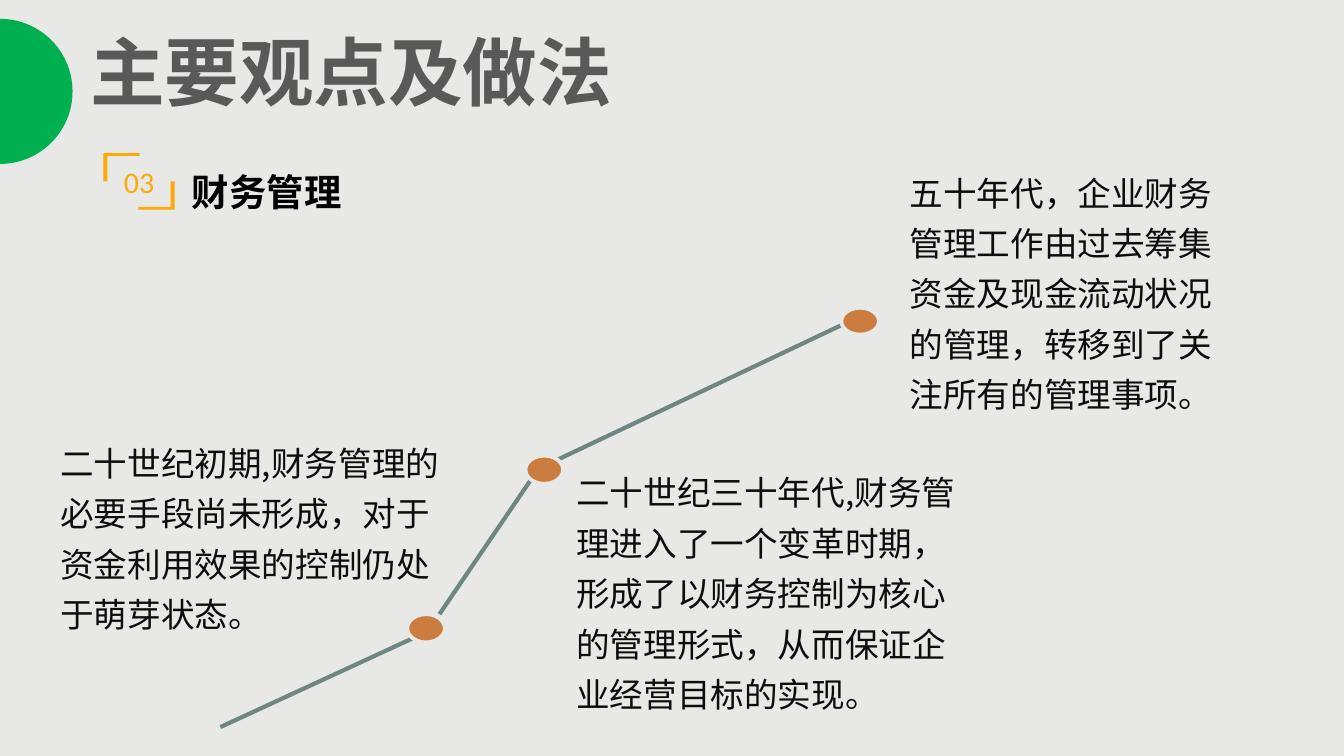
"""Build the financial management slide with a rising three-step timeline."""
from lxml import etree
from pptx import Presentation
from pptx import util as u
from pptx.dml import color
from pptx.enum import shapes, text
from pptx.oxml import ns

CJK = "Noto Sans CJK SC"
COLS = 100


def rgb(value):
    return color.RGBColor.from_string(value)


def grid(*cells):
    return [u.Emu(round(c * prs.slide_width / COLS)) for c in cells]


prs = Presentation()
prs.slide_width = u.Inches(10)
prs.slide_height = prs.slide_width * 9 // 16
s = prs.slides.add_slide(prs.slide_layouts[5])
s.background.fill.solid()
s.background.fill.fore_color.rgb = rgb("E8E8E6")
styled = []

title = s.shapes.title
title.left, title.top, title.width, title.height = grid(5.7, 1.4, 41.3, 7.7)
title.text_frame.text = "主要观点及做法"
title.text_frame.word_wrap = False
title.text_frame.vertical_anchor = text.MSO_ANCHOR.TOP
styled.append((title, 40, CJK, "595959", True, text.PP_ALIGN.LEFT, 1))

for ends in [(16.4, 54.1, 30.7, 47.5), (32.7, 45.7, 39.5, 35.7), (41.5, 34.2, 62.6, 24.2)]:
    line = s.shapes.add_connector(shapes.MSO_CONNECTOR.STRAIGHT, *grid(*ends))
    line.line.color.rgb = rgb("6F8683")
    line.line.width = u.Pt(2.25)
    etree.SubElement(line._element.spPr, ns.qn("a:effectLst"))

for cells, fill, edge in [
    ((-5.4, 1.4, 10.8, 10.8), "00B050", None),
    ((30.3, 45.7, 2.8, 2.1), "CB7D40", "E8E8E6"),
    ((39.1, 33.9, 2.8, 2.1), "CB7D40", "E8E8E6"),
    ((62.6, 22.9, 2.8, 2), "CB7D40", "E8E8E6"),
]:
    sp = s.shapes.add_shape(shapes.MSO_SHAPE.OVAL, *grid(*cells))
    sp.shadow.inherit = False
    sp.fill.solid()
    sp.fill.fore_color.rgb = rgb(fill)
    if edge:
        sp.line.color.rgb = rgb(edge)
        sp.line.width = u.Pt(2)
    else:
        sp.line.fill.background()

corner = [(7.7, 11.4), (10.4, 11.4), (10.4, 11.6), (8, 11.6), (8, 13.5), (7.7, 13.5)]
opposite = [(20.7 - x, 27 - y) for x, y in corner]
first, *rest = [grid(*point) for point in corner]
fb = s.shapes.build_freeform(*first)
fb.add_line_segments(rest, close=True)
first, *rest = [grid(*point) for point in opposite]
fb.move_to(*first)
fb.add_line_segments(rest, close=True)
bracket = fb.convert_to_shape()
bracket.shadow.inherit = False
bracket.fill.solid()
bracket.fill.fore_color.rgb = rgb("FDA907")
bracket.line.fill.background()
bracket.text_frame.text = "03"
bracket.text_frame.vertical_anchor = text.MSO_ANCHOR.MIDDLE
styled.append((bracket, 16, "Calibri", "FDA907", False, text.PP_ALIGN.CENTER, 1))

for cells, words, size, ink, bold, spacing in [
    ((13.3, 12.1, 13.1, 4.4), "财务管理", 20, "000000", True, 1),
    ((41.9, 33.9, 31.4, 19.9),
     "二十世纪三十年代,财务管理进入了一个变革时期，形成了以财务控制为核心的管理形式，从而保证企业经营目标的实现。",
     18, "0D0D0D", False, 1.25),
    ((3.5, 31.7, 30.5, 16.1),
     "二十世纪初期,财务管理的必要手段尚未形成，对于资金利用效果的控制仍处于萌芽状态。",
     18, "0D0D0D", False, 1.25),
    ((66.7, 11.6, 25.9, 19.9),
     "五十年代，企业财务管理工作由过去筹集资金及现金流动状况的管理，转移到了关注所有的管理事项。",
     18, "0D0D0D", False, 1.25),
]:
    sp = s.shapes.add_textbox(*grid(*cells))
    sp.text_frame.text = words
    sp.text_frame.word_wrap = not bold
    styled.append((sp, size, CJK, ink, bold, text.PP_ALIGN.LEFT, spacing))

for sp, size, face, ink, bold, align, spacing in styled:
    sp.text_frame.auto_size = text.MSO_AUTO_SIZE.NONE
    p = sp.text_frame.paragraphs[0]
    p.alignment = align
    p.line_spacing = spacing
    r = p.runs[0]
    r.font.size = u.Pt(size)
    r.font.bold = bold
    r.font.color.rgb = rgb(ink)
    r.font.name = face
    etree.SubElement(r.font._element, ns.qn("a:ea"), typeface=face)

prs.save("out.pptx")
